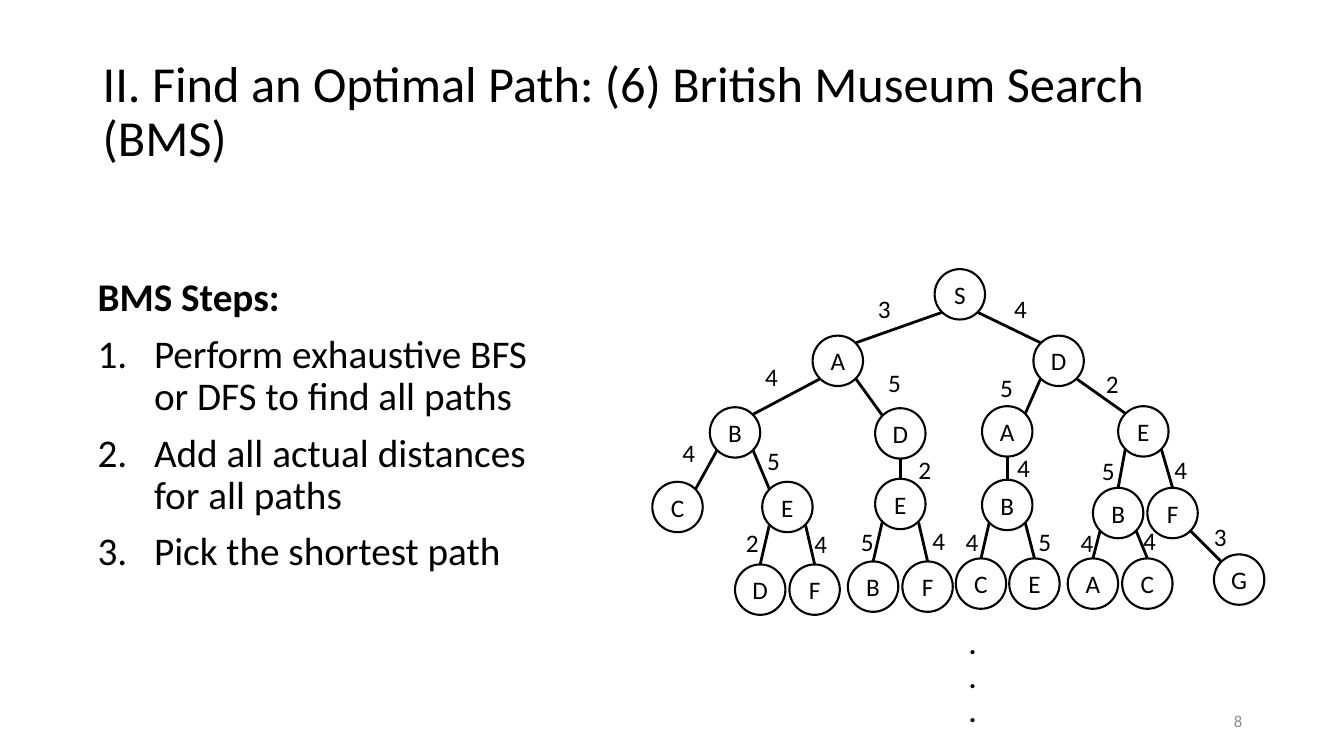
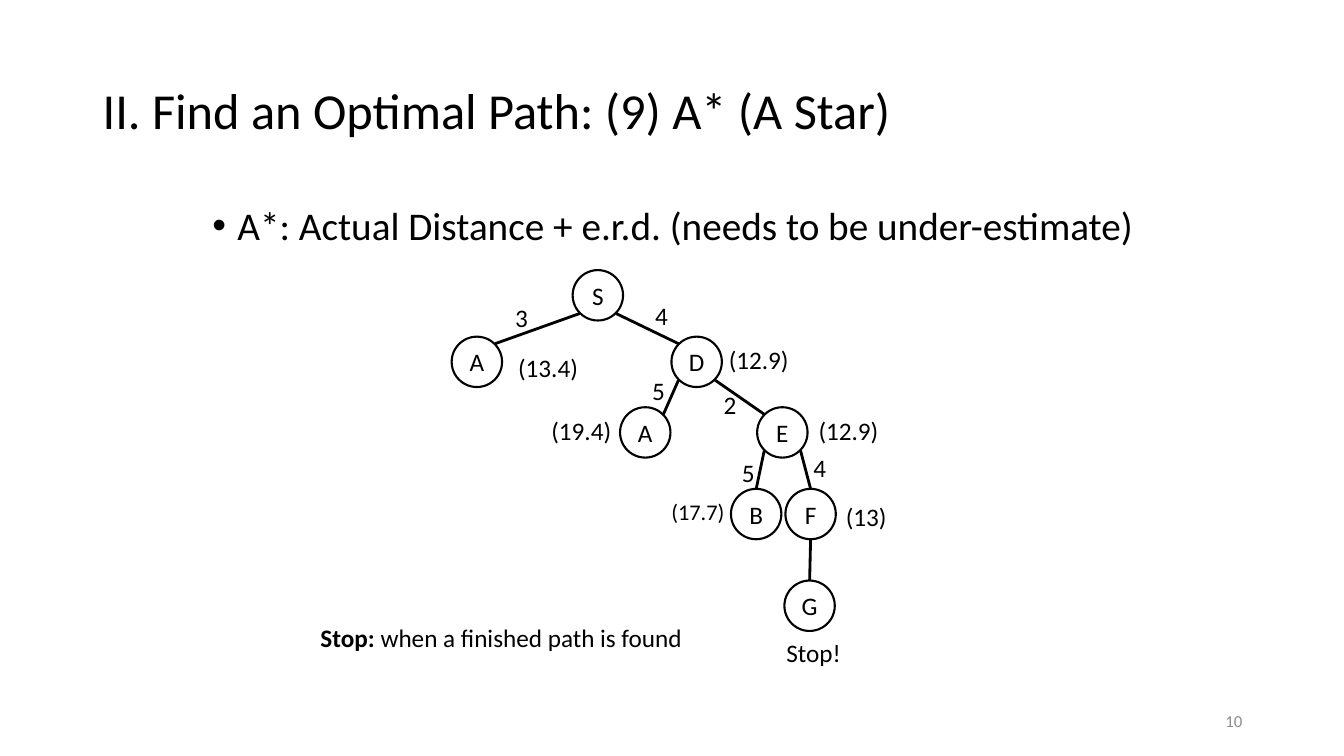
from collections import namedtuple
from dataclasses import dataclass
from lxml.etree import SubElement
from pptx import Presentation
from pptx.dml.color import RGBColor
from pptx.enum.shapes import MSO_CONNECTOR, MSO_SHAPE
from pptx.enum.text import MSO_ANCHOR, PP_ALIGN
from pptx.oxml.ns import qn
from pptx.util import Inches, Pt


@dataclass(frozen=True)
class Theme:
    """Colours, type sizes and line widths shared by the slides."""
    font: str = "Calibri"
    ink: RGBColor = RGBColor(0, 0, 0)
    grey: RGBColor = RGBColor(0x8C, 0x8C, 0x8C)
    title: int = 36
    body: int = 28
    dots: int = 20
    label: int = 18
    small: int = 16
    foot: int = 12
    ring: float = 1.5
    edge: float = 2
    node: float = 0.5
    inset: float = 0.07


THEME = Theme()
Node = namedtuple("Node", "name x y kids")
Kid = namedtuple("Kid", "node cost x y")


def style(para, size, color=THEME.ink, bold=False):
    """Format every run of a paragraph."""
    for run in para.runs:
        font = run.font
        font.name, font.size, font.bold = THEME.font, Pt(size), bold
        font.color.rgb = color


def text(slide, box, words, size, color=THEME.ink, bold=False,
         wrap=False, align=None, anchor=MSO_ANCHOR.TOP):
    """Add a text box and return its frame."""
    frame = slide.shapes.add_textbox(*map(Inches, box)).text_frame
    frame.text = words
    frame.word_wrap = wrap
    frame.vertical_anchor = anchor
    for para in frame.paragraphs:
        para.alignment = align
        style(para, size, color, bold)
    return frame


def label(slide, x, y, words, wide=0.33, size=THEME.label):
    """Add a short label beside the tree."""
    return text(slide, (x, y, wide, 0.4), words, size)


def space(frame):
    """Give body paragraphs their line and paragraph spacing."""
    for para in frame.paragraphs:
        para.line_spacing = 0.9
        para.space_before = Pt(10)


def bullet(para, indent, tag, **marks):
    """Give a paragraph a hanging bullet or number."""
    props = para._p.get_or_add_pPr()
    props.set("marL", str(Inches(indent)))
    props.set("indent", str(-Inches(indent)))
    if tag == "a:buChar":
        SubElement(props, qn("a:buFont"), typeface="Arial")
    SubElement(props, qn(tag), **marks)


def line(slide, start, end):
    """Draw a plain line between two points."""
    link = slide.shapes.add_connector(
        MSO_CONNECTOR.STRAIGHT, *map(Inches, start + end))
    link.line.color.rgb = THEME.ink
    link.line.width = Pt(THEME.edge)
    SubElement(link._element.spPr, qn("a:effectLst"))


def ring(slide, node):
    """Draw a lettered circle."""
    shape = slide.shapes.add_shape(
        MSO_SHAPE.FLOWCHART_CONNECTOR, Inches(node.x), Inches(node.y),
        Inches(THEME.node), Inches(THEME.node))
    shape.shadow.inherit = False
    shape.fill.background()
    shape.line.color.rgb = THEME.ink
    shape.line.width = Pt(THEME.ring)
    frame = shape.text_frame
    frame.text = node.name
    frame.word_wrap = False
    frame.vertical_anchor = MSO_ANCHOR.MIDDLE
    para = frame.paragraphs[0]
    para.alignment = PP_ALIGN.CENTER
    style(para, THEME.label)


def edge(slide, top, low):
    """Join a child to its parent at the rim points that face each other."""
    size, inset, half = THEME.node, THEME.inset, THEME.node / 2
    shift = low.x - top.x
    near, far = (inset, size - inset) if shift < 0 else (size - inset, inset)
    start = (low.x + far, low.y + inset)
    end = (top.x + near, top.y + size - inset)
    if abs(shift) < 0.4:
        start = (low.x + half, low.y)
    if abs(shift) < 0.05:
        end = (top.x + half, top.y + size)
    line(slide, start, end)


def tree(slide, node):
    """Draw a node, its edges with their costs, and all that hangs below."""
    ring(slide, node)
    for kid in node.kids:
        edge(slide, node, kid.node)
        if kid.cost:
            label(slide, kid.x, kid.y, kid.cost)
        tree(slide, kid.node)


def node(name, x, y, *kids):
    """Make a node from its letter, place and children."""
    return Node(name, x, y, [Kid(*kid) for kid in kids])


def page(deck, title, number):
    """Add a slide with its title and number."""
    slide = deck.slides.add_slide(deck.slide_layouts[6])
    head = text(slide, (0.92, 0.4, 11.5, 1.45), title, THEME.title,
                wrap=True, anchor=MSO_ANCHOR.MIDDLE)
    head.paragraphs[0].line_spacing = 0.9
    text(slide, (9.42, 6.95, 3, 0.4), number, THEME.foot, THEME.grey,
         wrap=True, align=PP_ALIGN.RIGHT, anchor=MSO_ANCHOR.MIDDLE)
    return slide


def museum(deck):
    """Build the British Museum Search slide."""
    slide = page(deck, "II. Find an Optimal Path: (6) British Museum Search "
                 "(BMS)", "8")
    steps = ["BMS Steps:", "Perform exhaustive BFS or DFS to find all paths",
             "Add all actual distances for all paths",
             "Pick the shortest path"]
    frame = text(slide, (0.87, 2.71, 4.83, 4.76), "\n".join(steps),
                 THEME.body, wrap=True)
    space(frame)
    style(frame.paragraphs[0], THEME.body, bold=True)
    for para in frame.paragraphs[1:]:
        bullet(para, 0.56, "a:buAutoNum", type="arabicPeriod")

    left = node(
        "A", 8.06, 3.33,
        (node("B", 7.04, 4.04,
              (node("C", 6.47, 4.78), "4", 6.67, 4.29),
              (node("E", 7.56, 4.78,
                    (node("D", 7.29, 5.6), "2", 7.3, 5.18),
                    (node("F", 7.83, 5.6), "4", 7.98, 5.19)),
               "5", 7.51, 4.37)), "4", 7.49, 3.54),
        (node("D", 8.68, 4.05,
              (node("E", 8.68, 4.75,
                    (node("B", 8.41, 5.57), "5", 8.44, 5.17),
                    (node("F", 8.95, 5.57), "4", 9.15, 5.16)),
               "2", 9.01, 4.46)), "5", 8.71, 3.59))
    right = node(
        "D", 10.25, 3.33,
        (node("A", 9.74, 4.03,
              (node("B", 9.74, 4.76,
                    (node("C", 9.48, 5.54), "4", 9.48, 5.17),
                    (node("E", 10.01, 5.54), "5", 10.2, 5.17)),
               "4", 9.99, 4.44)), "5", 9.82, 3.64),
        (node("E", 11.09, 4.03,
              (node("B", 10.84, 4.84,
                    (node("A", 10.59, 5.54), "4", 10.62, 5.18),
                    (node("C", 11.13, 5.54), "4", 11.24, 5.16)),
               "5", 10.83, 4.47),
              (node("F", 11.38, 4.84,
                    (node("G", 12.04, 5.5), "3", 11.94, 5.12)),
               "4", 11.55, 4.46)), "2", 10.87, 3.61))
    tree(slide, node("S", 9.27, 2.67, (left, "3", 8.61, 2.86),
                     (right, "4", 9.96, 2.86)))
    text(slide, (9.51, 6.17, 0.28, 1.11), "\n".join("..."), THEME.dots,
         bold=True)


def star(deck):
    """Build the A* slide."""
    slide = page(deck, "II. Find an Optimal Path: (9) A* (A Star)", "10")
    frame = text(slide, (0.92, 2, 11.5, 4.76),
                 "A*: Actual Distance + e.r.d. (needs to be under-estimate)",
                 THEME.body, wrap=True, align=PP_ALIGN.CENTER)
    space(frame)
    bullet(frame.paragraphs[0], 0.25, "a:buChar", char="•")

    right = node(
        "D", 6.66, 3.34,
        (node("A", 6.15, 4.04), "5", 6.37, 3.67),
        (node("E", 7.51, 4.04,
              (node("B", 7.25, 4.85), "5", 7.26, 4.49),
              (node("F", 7.79, 4.85,
                    (node("G", 7.78, 5.76), "", 0, 0)),
               "4", 7.97, 4.44)), "2", 7.08, 3.81))
    tree(slide, node("S", 5.68, 2.68,
                     (node("A", 4.48, 3.34), "3", 5.01, 2.95),
                     (right, "4", 6.4, 2.93)))
    for x, y, words, wide in [
            (5.04, 3.45, "(13.4)", 0.8), (7.13, 3.37, "(12.9)", 0.8),
            (5.37, 4.07, "(19.4)", 0.8), (8.02, 4.07, "(12.9)", 0.8),
            (8.29, 4.92, "(13)", 0.61), (7.7, 6.27, "Stop!", 0.75)]:
        label(slide, x, y, words, wide)
    label(slide, 6.56, 4.89, "(17.7)", 0.74, THEME.small)
    para = label(slide, 3.08, 6.12, "Stop:", 3.83).paragraphs[0]
    para.add_run().text = " when a finished path is found"
    style(para, THEME.label)
    para.runs[0].font.bold = True


def main():
    """Build and save the deck."""
    deck = Presentation()
    deck.slide_width, deck.slide_height = Inches(13.33), Inches(7.5)
    museum(deck)
    star(deck)
    deck.save("out.pptx")


main()
